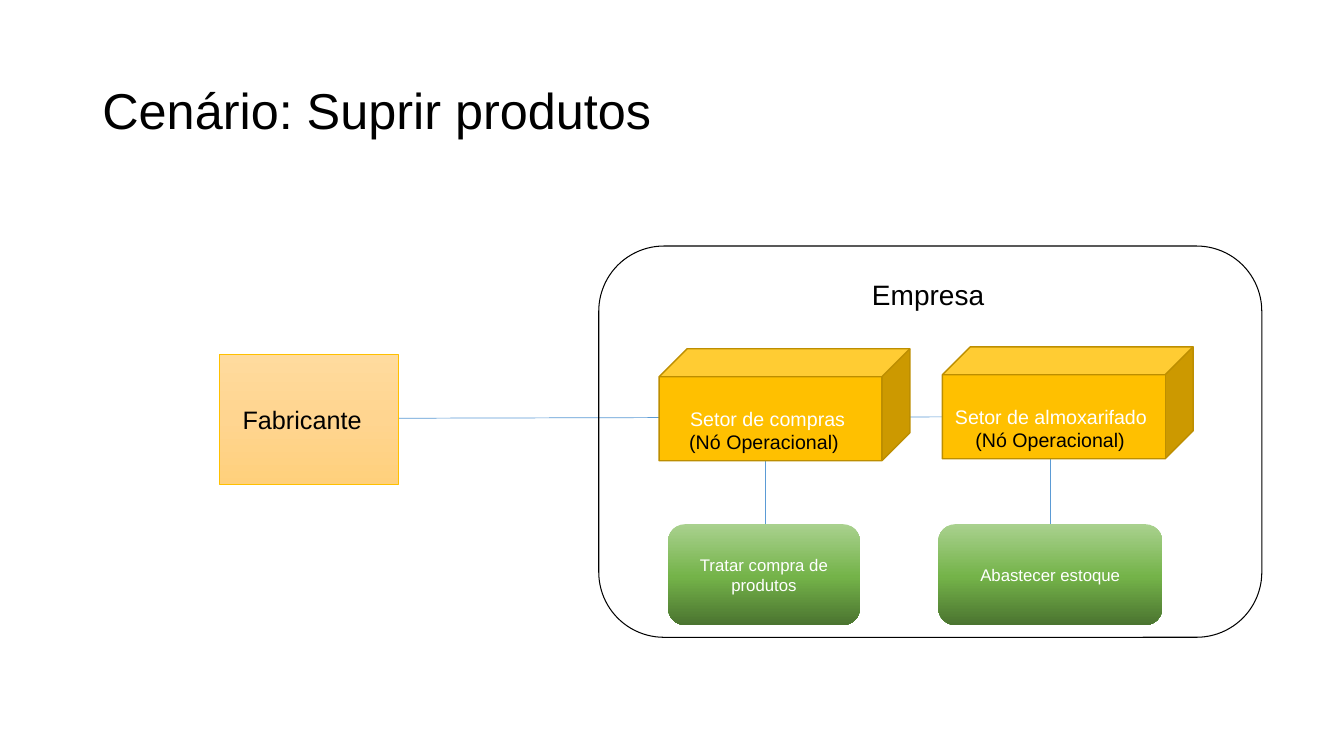
from copy import deepcopy

from lxml.etree import SubElement
from pptx import Presentation
from pptx.dml.color import RGBColor
from pptx.enum.shapes import MSO_CONNECTOR, MSO_SHAPE
from pptx.enum.text import MSO_ANCHOR, PP_ALIGN
from pptx.oxml.ns import qn
from pptx.util import Cm, Pt

BLACK, WHITE = "000000", "FFFFFF"
AMBER, AMBER_EDGE, BLUE = "FFC000", "BD8E00", "5B9BD5"
GREENS = [(0, "A9D18E"), (0.52, "74B349"), (1, "4B7430")]
ORANGES = [(0, "FFDB9E"), (0.5, "FFD590"), (1, "FFD07C")]
SECTOR_WIDTH, SECTOR_HEIGHT = 6.32, 2.82
TASK_TOP, TASK_HEIGHT = 13.21, 2.54


def rgb(code):
    """Turn a hex string into a colour."""
    return RGBColor.from_string(code)


def write(holder, text, size, color, align=PP_ALIGN.CENTER, anchor=MSO_ANCHOR.MIDDLE):
    """Put one paragraph of Arial text into a shape."""
    frame = holder.text_frame
    frame.word_wrap = True
    frame.vertical_anchor = anchor
    paragraph = frame.paragraphs[0]
    paragraph.text = text
    paragraph.alignment = align
    paragraph.font.name = "Arial"
    paragraph.font.size = Pt(size)
    paragraph.font.color.rgb = rgb(color)
    return frame


def add_label(slide, box, text, size, **layout):
    """Add black free-standing text."""
    label = slide.shapes.add_textbox(*map(Cm, box))
    return write(label, text, size, BLACK, **layout)


def add_line(slide, start, end):
    """Add a thin blue association line."""
    line = slide.shapes.add_connector(
        MSO_CONNECTOR.STRAIGHT, *map(Cm, (*start, *end)))
    line.line.color.rgb = rgb(BLUE)
    line.line.width = Pt(0.5)
    SubElement(line._element.spPr, qn("a:effectLst"))


def add_block(slide, kind, box, edge=None, width=1):
    """Add an unfilled shape, outlined if an edge colour is given."""
    block = slide.shapes.add_shape(kind, *map(Cm, box))
    block.shadow.inherit = False
    block.fill.background()
    if edge:
        block.line.color.rgb = rgb(edge)
        block.line.width = Pt(width)
    else:
        block.line.fill.background()
    return block


def shade(block, stops):
    """Fill a shape with a three-stop gradient from top to bottom."""
    block.fill.gradient()
    block.fill.gradient_angle = 270
    stop_list = block._element.spPr.find(".//" + qn("a:gsLst"))
    stop_list.append(deepcopy(stop_list[-1]))
    for stop, (position, color) in zip(block.fill.gradient_stops, stops):
        stop.position = position
        stop.color.rgb = rgb(color)


def add_sector(slide, left, top, name, caption_left):
    """Add an operational node as a cube with its caption."""
    sector = add_block(slide, MSO_SHAPE.CUBE,
                       (left, top, SECTOR_WIDTH, SECTOR_HEIGHT), AMBER_EDGE)
    sector.fill.solid()
    sector.fill.fore_color.rgb = rgb(AMBER)
    write(sector, name, 14, WHITE)
    caption = add_label(slide, (caption_left, top + 1.93, 4.29, 0.86),
                        "(Nó Operacional)", 14, align=PP_ALIGN.LEFT,
                        anchor=MSO_ANCHOR.TOP)
    caption.word_wrap = False


def add_task(slide, left, width, name):
    """Add a green activity box."""
    task = add_block(slide, MSO_SHAPE.ROUNDED_RECTANGLE,
                     (left, TASK_TOP, width, TASK_HEIGHT))
    shade(task, GREENS)
    write(task, name, 12, WHITE)


def add_supplier(slide):
    """Add the outside manufacturer."""
    supplier = add_block(slide, MSO_SHAPE.RECTANGLE,
                         (5.54, 8.92, 4.5, 3.28), AMBER, 0.5)
    shade(supplier, ORANGES)
    write(supplier, "Fabricante", 18, BLACK).margin_right = Cm(0.6)


def main():
    """Build the supply scenario slide."""
    deck = Presentation()
    deck.slide_width, deck.slide_height = Cm(33.87), Cm(19.05)
    slide = deck.slides.add_slide(deck.slide_layouts[6])

    for task_center in (19.28, 26.47):
        add_line(slide, (task_center, 10.65), (task_center, TASK_TOP))
    title = add_label(slide, (2.33, 1.02, 29.21, 3.68),
                      "Cenário: Suprir produtos", 36, align=PP_ALIGN.LEFT)
    title.paragraphs[0].line_spacing = 0.9
    add_label(slide, (15.67, 6.86, 15.44, 1.12), "Empresa", 20,
              anchor=MSO_ANCHOR.TOP)
    add_line(slide, (10.03, 10.54), (29.36, 10.49))
    add_block(slide, MSO_SHAPE.ROUNDED_RECTANGLE,
              (15.09, 6.2, 16.71, 9.86), BLACK, 0.75)

    add_sector(slide, 16.61, 8.79, "Setor de compras ", 17.12)
    add_task(slide, 16.84, 4.83, "Tratar compra de produtos")
    add_supplier(slide)
    add_sector(slide, 23.75, 8.74, "Setor de almoxarifado ", 24.33)
    add_task(slide, 23.65, 5.64, "Abastecer estoque")
    deck.save("out.pptx")


main()
